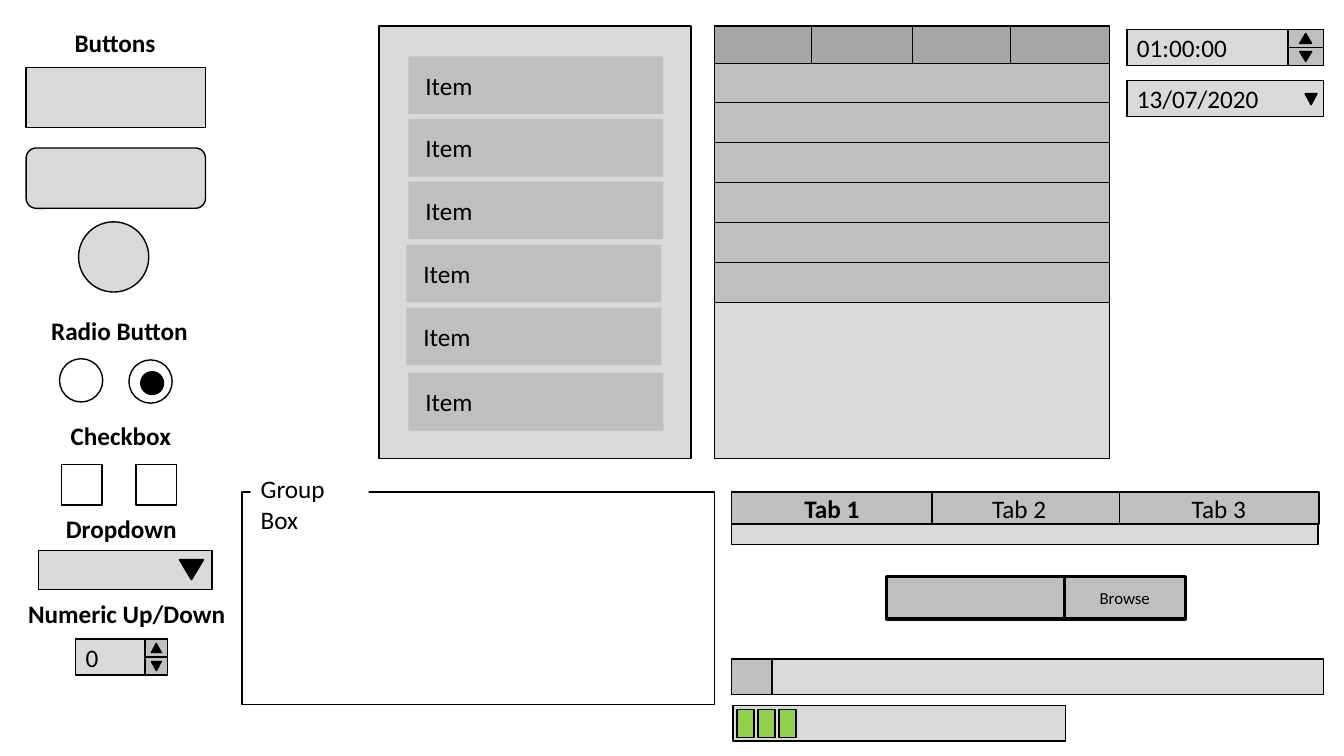
from typing import NamedTuple, Optional

import pptx
import pptx.dml.color
import pptx.enum.shapes
import pptx.enum.text
import pptx.oxml
import pptx.util

Cm = pptx.util.Cm
Pt = pptx.util.Pt
Kind = pptx.enum.shapes.MSO_SHAPE
Align = pptx.enum.text.PP_ALIGN
Anchor = pptx.enum.text.MSO_ANCHOR

BLACK, WHITE, GREEN = "000000", "FFFFFF", "92D050"
LIGHT, MID, DARK = "D9D9D9", "BFBFBF", "A6A6A6"


class Box(NamedTuple):
    """Position and size in centimetres."""
    left: float
    top: float
    width: float
    height: float


class Heading(NamedTuple):
    text: str
    box: Box
    align: Align = Align.CENTER
    wrap: bool = True


class Spinner(NamedTuple):
    value: str
    box: Box
    button_width: float
    arrow_width: float
    arrow_height: float


def colour(value: str) -> pptx.dml.color.RGBColor:
    return pptx.dml.color.RGBColor.from_string(value)


def write(shape, text: str, *, size: float = 18, bold: bool = False,
          align: Align = Align.LEFT, anchor: Anchor = Anchor.MIDDLE,
          wrap: bool = True, inset: float = 0.25) -> None:
    frame = shape.text_frame
    frame.word_wrap = wrap
    frame.vertical_anchor = anchor
    frame.margin_left = Cm(inset)
    paragraph = frame.paragraphs[0]
    paragraph.alignment = align
    run = paragraph.add_run()
    run.text = text
    run.font.name = "Calibri"
    run.font.size = Pt(size)
    run.font.bold = bold
    run.font.color.rgb = colour(BLACK)


def draw(slide, box: Box, fill: Optional[str] = None, *, kind: Kind = Kind.RECTANGLE,
         line: float = 1, rotation: float = 0):
    shape = slide.shapes.add_shape(kind, *map(Cm, box))
    shape.shadow.inherit = False
    shape.rotation = rotation
    if fill:
        shape.fill.solid()
        shape.fill.fore_color.rgb = colour(fill)
    else:
        shape.fill.background()
    if line:
        shape.line.color.rgb = colour(BLACK)
        shape.line.width = Pt(line)
    else:
        shape.line.fill.background()
    return shape


def draw_arrow(slide, box: Box, *, down: bool = True) -> None:
    draw(slide, box, BLACK, kind=Kind.ISOSCELES_TRIANGLE, rotation=180 if down else 0)


def draw_heading(slide, heading: Heading) -> None:
    label = slide.shapes.add_textbox(*map(Cm, heading.box))
    write(label, heading.text, bold=True, align=heading.align,
          anchor=Anchor.TOP, wrap=heading.wrap)


def draw_spinner(slide, spinner: Spinner) -> None:
    box = spinner.box
    write(draw(slide, box, LIGHT), spinner.value)
    left = box.left + box.width - spinner.button_width
    half = box.height / 2
    for position in range(2):
        top = box.top + position * half
        draw(slide, Box(left, top, spinner.button_width, half), MID)
        draw_arrow(slide, Box(left + (spinner.button_width - spinner.arrow_width) / 2,
                              top + (half - spinner.arrow_height) / 2,
                              spinner.arrow_width, spinner.arrow_height),
                   down=position == 1)


def draw_divider(slide, x: float, header: Box):
    divider = slide.shapes.add_connector(
        pptx.enum.shapes.MSO_CONNECTOR.STRAIGHT,
        Cm(x), Cm(header.top + header.height), Cm(x), Cm(header.top))
    divider.line.color.rgb = colour(BLACK)
    divider.line.width = Pt(0.5)
    properties = divider.element.spPr
    properties.append(properties.makeelement(pptx.oxml.ns.qn("a:effectLst"), {}))
    return divider


HEADINGS = [
    Heading("Buttons", Box(0.64, 0.56, 4.52, 1.02)),
    Heading("Radio Button", Box(1.04, 7.82, 3.99, 1.02), Align.LEFT, wrap=False),
    Heading("Checkbox", Box(1.24, 10.46, 3.61, 1.02)),
    Heading("Dropdown", Box(1.19, 12.8, 3.73, 1.02)),
    Heading("Numeric Up/Down", Box(0.46, 14.96, 5.51, 1.02), Align.LEFT),
]
SPINNERS = [
    Spinner("0", Box(1.91, 16.1, 2.31, 0.91), 0.56, 0.25, 0.23),
    Spinner("01:00:00", Box(28.4, 0.74, 4.95, 0.91), 0.89, 0.3, 0.25),
]
ITEM_CORNERS = [(10.29, 1.42), (10.29, 3.0), (10.29, 4.58),
                (10.24, 6.17), (10.24, 7.75), (10.29, 9.4)]
TABS = [("Tab 3", 28.19), ("Tab 2", 23.16), ("Tab 1", 18.44)]


def draw_left_column(slide) -> None:
    for heading in HEADINGS:
        draw_heading(slide, heading)

    # Buttons
    draw(slide, Box(0.66, 1.7, 4.52, 1.52), LIGHT)
    draw(slide, Box(0.66, 3.73, 4.52, 1.52), LIGHT, kind=Kind.ROUNDED_RECTANGLE)
    draw(slide, Box(1.98, 5.59, 1.77, 1.77), LIGHT, kind=Kind.OVAL)

    # Radio buttons and checkboxes
    for left, top in [(1.5, 9.04), (3.25, 9.07)]:
        draw(slide, Box(left, top, 1.09, 1.09), kind=Kind.OVAL)
    draw(slide, Box(3.53, 9.35, 0.61, 0.61), BLACK, kind=Kind.OVAL, line=0)
    for left in (1.55, 3.43):
        draw(slide, Box(left, 11.71, 1.02, 1.02))

    # Dropdown
    draw(slide, Box(0.97, 13.87, 4.37, 0.99), LIGHT)
    draw_arrow(slide, Box(4.52, 14.1, 0.61, 0.51))


def draw_list_and_grid(slide) -> None:
    # Item list
    draw(slide, Box(9.55, 0.66, 7.87, 10.9), LIGHT)
    for left, top in ITEM_CORNERS:
        write(draw(slide, Box(left, top, 6.43, 1.45), MID, line=0), "Item", inset=0.43)

    # Data grid
    draw(slide, Box(18.01, 0.69, 9.96, 10.87), LIGHT)
    for row in range(6):
        draw(slide, Box(18.01, 1.57 + 1.01 * row, 9.96, 1.01), MID)
    header_box = Box(18.01, 0.66, 9.96, 0.94)
    header = draw(slide, header_box, DARK)
    draw_divider(slide, 20.45, header_box)
    middle_divider = draw_divider(slide, 22.99, header_box)
    middle_divider.begin_connect(header, 2)
    middle_divider.end_connect(header, 0)
    draw_divider(slide, 25.45, header_box)


def draw_lower_right(slide) -> None:
    # Group box
    draw(slide, Box(6.1, 12.4, 11.91, 5.36))
    group_title = draw(slide, Box(6.32, 11.81, 2.97, 0.94), WHITE, line=0)
    write(group_title, "Group Box", anchor=Anchor.TOP)

    # Tabs, the active one in front
    for title, left in TABS:
        write(draw(slide, Box(left, 12.4, 5.05, 0.81), MID), title,
              bold=title == "Tab 1", align=Align.CENTER)
    draw(slide, Box(18.44, 13.21, 14.78, 0.51), LIGHT)

    # File chooser
    draw(slide, Box(22.35, 14.53, 4.5, 1.07), MID, line=2.25)
    browse = draw(slide, Box(26.82, 14.53, 3.05, 1.07), MID, line=2.25)
    write(browse, "Browse", size=12, align=Align.CENTER)

    # Scroll bar
    for width, fill in [(14.91, LIGHT), (1.02, MID)]:
        draw(slide, Box(18.44, 16.61, width, 0.89), fill)

    # Progress bar
    draw(slide, Box(18.47, 17.78, 8.38, 0.89), LIGHT)
    for step in range(3):
        draw(slide, Box(18.57 + 0.53 * step, 17.88, 0.43, 0.71), GREEN)


def main() -> None:
    deck = pptx.Presentation()
    deck.slide_width, deck.slide_height = Cm(33.87), Cm(19.05)
    slide = deck.slides.add_slide(deck.slide_layouts[6])

    draw_left_column(slide)
    draw_list_and_grid(slide)
    draw_lower_right(slide)

    # Time and date pickers, numeric field
    for spinner in SPINNERS:
        draw_spinner(slide, spinner)
    write(draw(slide, Box(28.4, 2.03, 4.95, 0.91), LIGHT), "13/07/2020")
    draw_arrow(slide, Box(32.89, 2.36, 0.3, 0.28))

    deck.save("out.pptx")


if __name__ == "__main__":
    main()
